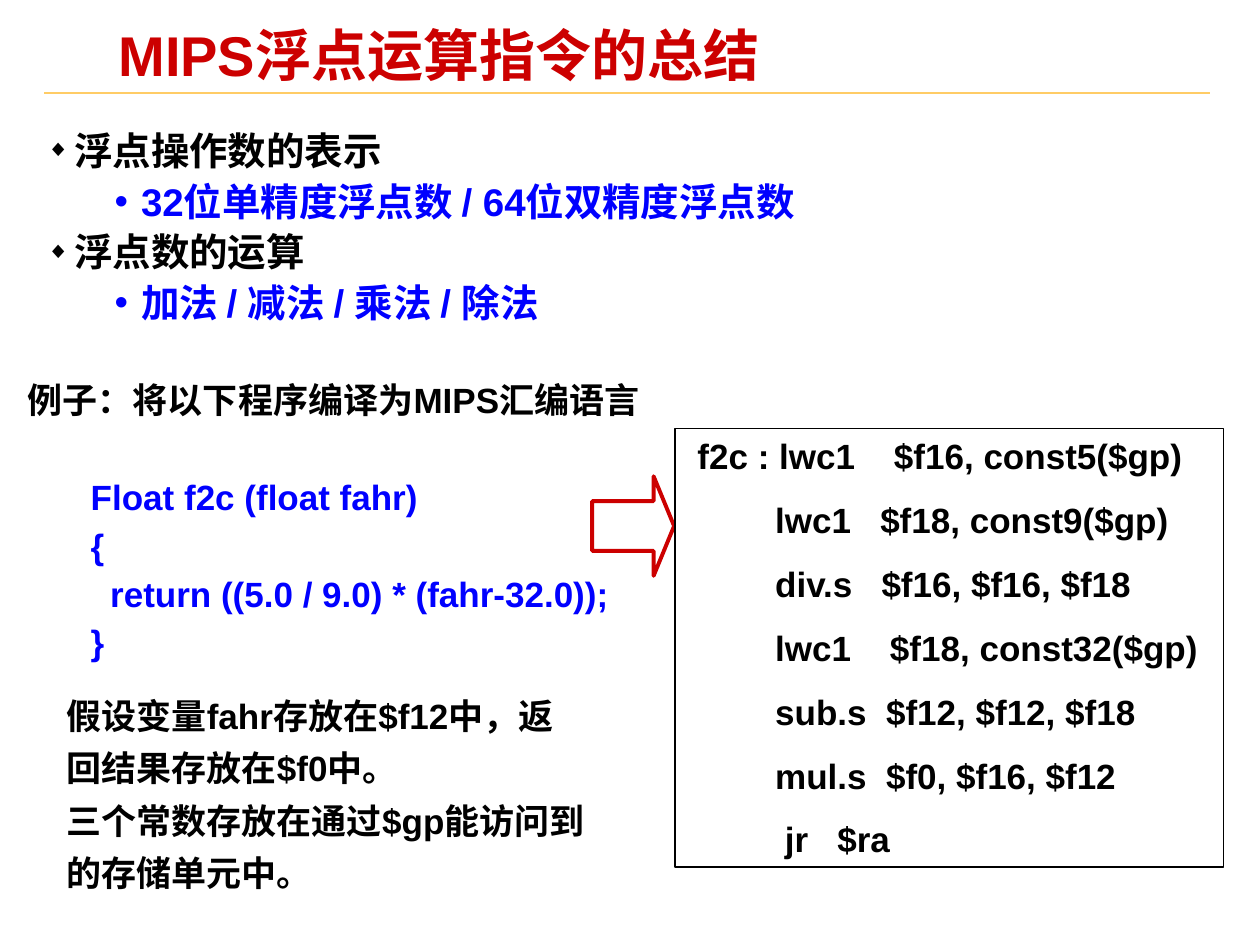
from lxml import etree
from pptx import Presentation
from pptx.dml.color import RGBColor
from pptx.enum.shapes import MSO_CONNECTOR, MSO_SHAPE
from pptx.enum.text import MSO_ANCHOR, PP_ALIGN
from pptx.oxml.ns import qn
from pptx.util import Inches, Pt

STRAIGHT = MSO_CONNECTOR.STRAIGHT
RECT, ARROW = MSO_SHAPE.RECTANGLE, MSO_SHAPE.RIGHT_ARROW
TOP, LEFT = MSO_ANCHOR.TOP, PP_ALIGN.LEFT
FONT = "Arial"
BLACK, BLUE, RED, GOLD = "000000", "0000FF", "CC0000", "FFCC66"
TIGHT, NORMAL = (0.07, 0.03), (0.1, 0.05)

# Content
TITLE = "MIPS浮点运算指令的总结"
TOPICS = [
    ("浮点操作数的表示", "32位单精度浮点数 / 64位双精度浮点数"),
    ("浮点数的运算", "加法 / 减法 / 乘法 / 除法"),
]
TASK = "例子：将以下程序编译为MIPS汇编语言"
C_CODE = [
    "Float f2c (float fahr)",
    "{",
    "  return ((5.0 / 9.0) * (fahr-32.0));",
    "}",
]
NOTES = [
    "假设变量fahr存放在$f12中，返回结果存放在$f0中。",
    "三个常数存放在通过$gp能访问到的存储单元中。",
]
ASSEMBLY = [
    " f2c : lwc1    $f16, const5($gp)",
    "         lwc1   $f18, const9($gp)",
    "         div.s   $f16, $f16, $f18",
    "         lwc1    $f18, const32($gp)",
    "         sub.s  $f12, $f12, $f18",
    "         mul.s  $f0, $f16, $f12",
    "          jr   $ra",
]
# Bullet styles: character, colour, size in percent, margin, hanging indent
TOPIC_BULLET = ("◆", BLACK, 60, 0.22, -0.22)
DETAIL_BULLET = ("•", BLUE, 100, 0.75, -0.21)


def rgb(code):
    return RGBColor.from_string(code)


def set_bullet(p, char, color, percent, margin, indent):
    pPr = p._p.get_or_add_pPr()
    pPr.set("marL", str(Inches(margin)))
    pPr.set("indent", str(Inches(indent)))
    clr = etree.SubElement(pPr, qn("a:buClr"))
    etree.SubElement(clr, qn("a:srgbClr"), val=color)
    etree.SubElement(pPr, qn("a:buSzPct"), val=str(percent * 1000))
    etree.SubElement(pPr, qn("a:buFont"), typeface=FONT)
    etree.SubElement(pPr, qn("a:buChar"), char=char)


def set_frame(s, inset):
    tf = s.text_frame
    tf.word_wrap = True
    tf.vertical_anchor = TOP
    tf.margin_left = tf.margin_right = Inches(inset[0])
    tf.margin_top = tf.margin_bottom = Inches(inset[1])
    return tf


def add_box(slide, box, inset):
    return set_frame(slide.shapes.add_textbox(*map(Inches, box)), inset)


def add_outline(slide, kind, box, color, width):
    s = slide.shapes.add_shape(kind, *map(Inches, box))
    s.shadow.inherit = False
    s.fill.background()
    s.line.color.rgb = rgb(color)
    s.line.width = Pt(width)
    return s


def add_text(tf, text, size=20, color=BLACK, spacing=1.0, before=0,
             margin=0, bullet=None):
    first = tf.paragraphs[0]
    p = tf.add_paragraph() if first.runs else first
    p.alignment = LEFT
    p.line_spacing = spacing
    p.space_before = Pt(before if p is not first else 0)
    if bullet:
        set_bullet(p, *bullet)
    elif margin:
        p._p.get_or_add_pPr().set("marL", str(Inches(margin)))
    r = p.add_run()
    r.text = text
    r.font.name, r.font.size, r.font.bold = FONT, Pt(size), True
    r.font.color.rgb = rgb(color)


prs = Presentation()
prs.slide_width, prs.slide_height = Inches(10), Inches(7.5)
slide = prs.slides.add_slide(prs.slide_layouts[6])

# Title and rule
rule = slide.shapes.add_connector(STRAIGHT, *map(Inches, (0.35, 0.74, 9.6, 0.74)))
rule.line.color.rgb = rgb(GOLD)
rule.line.width = Pt(1)
etree.SubElement(rule._element.spPr, qn("a:effectLst"))
tf = add_box(slide, (0.87, 0.21, 6.64, 0.52), TIGHT)
add_text(tf, TITLE, size=32, color=RED, spacing=0.87)

# Topics with their details
tf = add_box(slide, (0.3, 0.94, 7.94, 1.67), TIGHT)
for topic, detail in TOPICS:
    add_text(tf, topic, size=22, spacing=1.1, bullet=TOPIC_BULLET)
    add_text(tf, detail, size=22, color=BLUE, spacing=1.1, bullet=DETAIL_BULLET)

# Task and C function
tf = add_box(slide, (0.15, 2.94, 5.45, 2.36), TIGHT)
add_text(tf, TASK, spacing=1.1)
for i, line in enumerate(C_CODE):
    add_text(tf, line, color=BLUE, spacing=1.15, margin=0.5,
             before=0 if i else 28)

# Notes on registers and constants
tf = add_box(slide, (0.43, 5.38, 4.33, 1.77), NORMAL)
for note in NOTES:
    add_text(tf, note, spacing=1.25)

# Arrow to the assembly listing
arrow = add_outline(slide, ARROW, (4.7, 3.78, 0.65, 0.79), RED, 2.25)
arrow.adjustments[0], arrow.adjustments[1] = 0.5, 0.25
listing = add_outline(slide, RECT, (5.36, 3.4, 4.35, 3.48), BLACK, 1)
tf = set_frame(listing, NORMAL)
for line in ASSEMBLY:
    add_text(tf, line, before=12.5)

prs.save("out.pptx")
